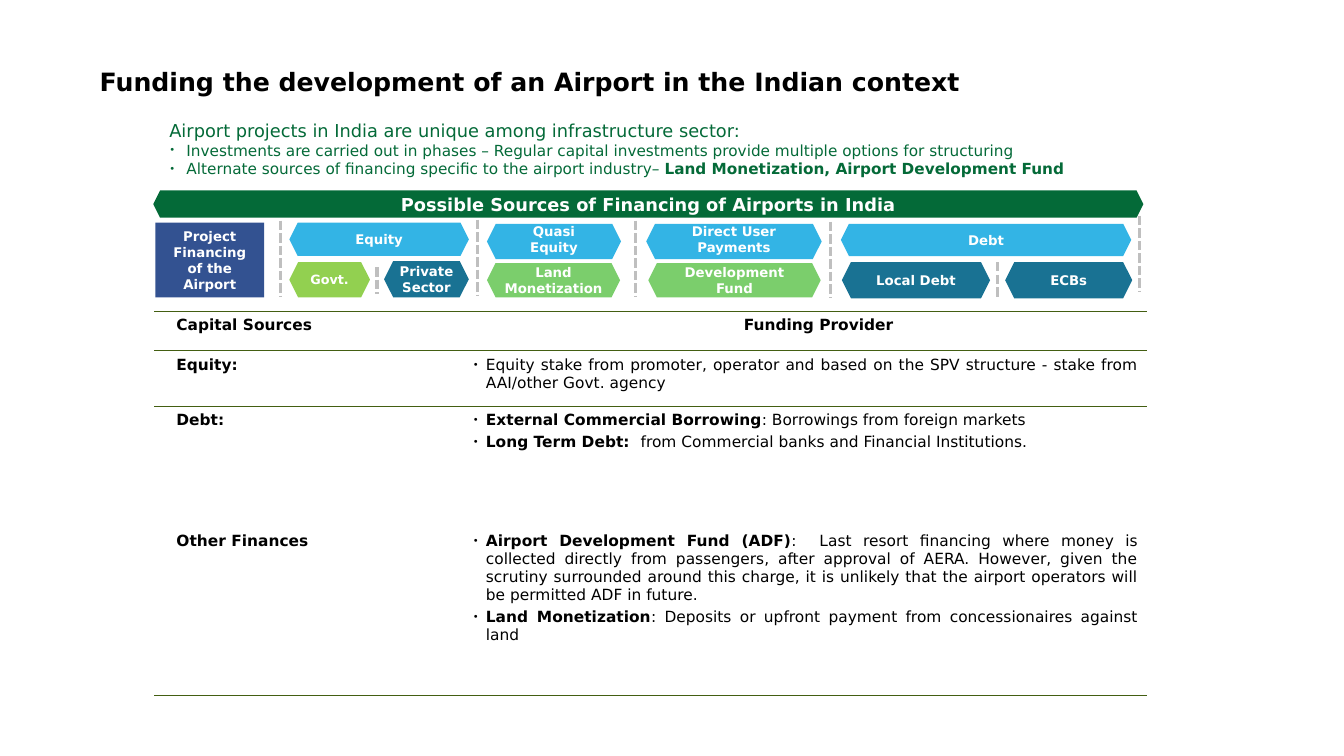
from dataclasses import dataclass

from lxml import etree
from pptx import Presentation, util as u
from pptx.dml.color import RGBColor
from pptx.enum import dml, shapes, text
from pptx.oxml import ns


@dataclass(frozen=True)
class Theme:
    """Colours, type sizes and font of the slide."""
    font: str = "DejaVu Sans"
    black: str = "000000"
    white: str = "FFFFFF"
    green: str = "046A38"
    sky: str = "33B4E5"
    navy: str = "335291"
    teal: str = "197293"
    lime: str = "92D050"
    leaf: str = "7BCE6C"
    grey: str = "BFBFBF"
    rule: str = "435E12"
    title: float = 18
    lead: float = 12.7
    bullet: float = 10.9
    cell: float = 11
    label: float = 9.5
    small: float = 9.1


@dataclass
class Line:
    """One paragraph: (wording, bold) runs with their layout."""
    runs: list
    size: float
    color: str = Theme.black
    align: text.PP_ALIGN = text.PP_ALIGN.LEFT
    margin: float = 0
    hanging: float = 0
    level: int = 0
    before: float = 0
    spacing: float = 1.0


class FundingSlide:
    """Holds the theme and current slide and draws each kind of element."""

    def __init__(self, presentation, theme):
        self.theme = theme
        self.slide = presentation.slides.add_slide(presentation.slide_layouts[6])

    def child(self, parent, tag, **attributes):
        """Append a drawing element to its parent."""
        return etree.SubElement(parent, ns.qn(tag), **attributes)

    def add_lines(self, frame, lines):
        """Fill a text frame with lines, run by run."""
        for index, line in enumerate(lines):
            paragraph = frame.add_paragraph() if index else frame.paragraphs[0]
            paragraph.alignment = line.align
            paragraph.level = line.level
            if line.spacing != 1:
                paragraph.line_spacing = line.spacing
            if index and line.before:
                paragraph.space_before = u.Pt(line.before)
            properties = paragraph._p.get_or_add_pPr()
            properties.set("marL", str(u.Inches(line.margin)))
            properties.set("indent", str(u.Inches(-line.hanging)))
            if line.hanging:
                self.child(properties, "a:buSzPct", val="65000")
                self.child(properties, "a:buFont", typeface=self.theme.font)
                self.child(properties, "a:buChar", char="•")
            for wording, bold in line.runs:
                run = paragraph.add_run()
                run.text = wording
                run.font.name = self.theme.font
                run.font.size = u.Pt(line.size)
                run.font.bold = bold
                run.font.color.rgb = RGBColor.from_string(line.color)

    def insets(self, frame, left, top, right, bottom):
        """Set the four inner margins of a frame or cell."""
        frame.margin_left, frame.margin_top = u.Inches(left), u.Inches(top)
        frame.margin_right, frame.margin_bottom = u.Inches(right), u.Inches(bottom)

    def text_box(self, box, lines, insets=(0.1, 0.05, 0.1, 0.05), grow=False):
        """Add a wrapping text box."""
        frame = self.slide.shapes.add_textbox(*map(u.Inches, box)).text_frame
        frame.word_wrap = True
        if grow:
            frame.auto_size = text.MSO_AUTO_SIZE.SHAPE_TO_FIT_TEXT
        self.insets(frame, *insets)
        self.add_lines(frame, lines)

    def block(self, label, box, fill, size=Theme.label, kind=shapes.MSO_SHAPE.HEXAGON,
              insets=(0.1, 0.05, 0.1, 0.05)):
        """Add a filled shape with a centred white label."""
        shape = self.slide.shapes.add_shape(kind, *map(u.Inches, box))
        shape.shadow.inherit = False
        shape.fill.solid()
        shape.fill.fore_color.rgb = RGBColor.from_string(fill)
        shape.line.fill.background()
        frame = shape.text_frame
        frame.word_wrap = True
        frame.vertical_anchor = text.MSO_ANCHOR.MIDDLE
        self.insets(frame, *insets)
        self.add_lines(frame, [Line([(label, True)], size, self.theme.white, text.PP_ALIGN.CENTER)])

    def divider(self, x, top, height):
        """Add a vertical dashed divider."""
        line = self.slide.shapes.add_connector(
            shapes.MSO_CONNECTOR.STRAIGHT, *map(u.Inches, (x, top, x, top + height)))
        line.line.color.rgb = RGBColor.from_string(self.theme.grey)
        line.line.width = u.Pt(2.25)
        line.line.dash_style = dml.MSO_LINE.SQUARE_DOT
        self.child(line._element.spPr, "a:effectLst")

    def border(self, cell, side):
        """Draw a thin rule on one side of a cell."""
        line = etree.Element(ns.qn(f"a:ln{side}"), w=str(u.Pt(1)))
        self.child(self.child(line, "a:solidFill"), "a:srgbClr", val=self.theme.rule)
        cell._tc.get_or_add_tcPr().insert(0, line)

    def table(self, box, widths, heights, rows):
        """Add a plain table ruled above and below its header and at its foot."""
        frame = self.slide.shapes.add_table(len(rows), len(widths), *map(u.Inches, box))
        table = frame.table
        table.first_row = table.horz_banding = False
        style = table._tbl.tblPr.find(ns.qn("a:tableStyleId"))
        style.text = "{2D5ABB26-0587-4C30-8999-92F81FD0307C}"
        for column, width in zip(table.columns, widths):
            column.width = u.Inches(width)
        for index, (height, row) in enumerate(zip(heights, rows)):
            table.rows[index].height = u.Inches(height)
            for cell, lines in zip(table.rows[index].cells, row):
                self.insets(cell, 0.09, 0.05, 0.09, 0.05)
                if index:
                    cell.fill.solid()
                    cell.fill.fore_color.rgb = RGBColor.from_string(self.theme.white)
                else:
                    cell.fill.background()
                if index in (0, len(rows) - 1):
                    self.border(cell, "B")
                if index < 2:
                    self.border(cell, "T")
                self.add_lines(cell.text_frame, lines)


def main():
    """Build the airport funding slide."""
    presentation = Presentation()
    presentation.slide_width, presentation.slide_height = u.Inches(13.33), u.Inches(7.5)
    theme = Theme()
    page = FundingSlide(presentation, theme)
    justify = text.PP_ALIGN.JUSTIFY

    def point(*runs):
        return Line(list(runs), theme.bullet, theme.green, justify, 0.4, 0.17, 1)

    def heading(label, align=text.PP_ALIGN.LEFT, margin=0.13):
        return [Line([(label, True)], theme.cell, align=align, margin=margin)]

    def provider(name, detail):
        runs = [(name, True)] if name else []
        return Line(runs + [(detail, False)], theme.cell, theme.black, justify, 0.13, 0.13, 1, 3)

    page.text_box((1.45, 1.19, 9.7, 0.65), [
        Line([("Airport projects in India are unique among infrastructure sector: ", False)],
             theme.lead, theme.green, justify, 0.23, level=1),
        point(("Investments are carried out in phases – Regular capital investments "
               "provide multiple options for structuring", False)),
        point(("Alternate sources of financing specific to the airport industry– ", False),
              ("Land Monetization, Airport Development Fund", True)),
    ], insets=(0, 0, 0, 0))
    page.text_box((0.89, 0.59, 9.83, 0.42), [
        Line([("Funding the development of an Airport in the Indian context", True)],
             theme.title, spacing=1.06)], grow=True)

    page.block("Possible Sources of Financing of Airports in India",
               (1.52, 1.89, 9.82, 0.27), theme.green, theme.lead)
    page.block("Project Financing of the Airport", (1.54, 2.21, 1.08, 0.74), theme.navy,
               kind=shapes.MSO_SHAPE.RECTANGLE)
    raised, narrow = (0.1, 0, 0.1, 0.05), (0, 0.05, 0, 0.05)
    page.block("Equity", (2.87, 2.21, 1.78, 0.33), theme.sky)
    page.block("Quasi Equity", (4.83, 2.22, 1.33, 0.35), theme.sky, insets=raised)
    page.block("Direct User Payments", (6.41, 2.22, 1.74, 0.35), theme.sky, insets=raised)
    page.block("Debt", (8.34, 2.22, 2.88, 0.32), theme.sky)
    page.block("Govt.", (2.87, 2.6, 0.8, 0.35), theme.lime, theme.small)
    page.block("Private Sector", (3.81, 2.59, 0.84, 0.36), theme.teal, insets=narrow)
    page.block("Land Monetization", (4.83, 2.61, 1.32, 0.34), theme.leaf, insets=narrow)
    page.block("Development Fund", (6.43, 2.61, 1.71, 0.34), theme.leaf)
    page.block("Local Debt", (8.35, 2.6, 1.47, 0.36), theme.teal)
    page.block("ECBs", (9.97, 2.6, 1.26, 0.36), theme.teal)

    for x, top in ((2.78, 2.19), (4.74, 2.18), (6.3, 2.19), (8.24, 2.2), (11.3, 2.14)):
        page.divider(x, top, 0.76)
    page.divider(3.74, 2.65, 0.27)
    page.divider(9.89, 2.6, 0.36)

    page.table((1.53, 3.09, 9.85, 3.81), (3.07, 6.78), (0.39, 0.55, 1.2, 1.67), [
        (heading("Capital Sources"),
         heading("Funding Provider", text.PP_ALIGN.CENTER, 0.26)),
        (heading("Equity:"),
         [provider("", "Equity stake from promoter, operator and based on the SPV structure "
                       "- stake from AAI/other Govt. agency")]),
        (heading("Debt:"),
         [provider("External Commercial Borrowing", ": Borrowings from foreign markets"),
          provider("Long Term Debt:  ", "from Commercial banks and Financial Institutions.")]),
        (heading("Other Finances"),
         [provider("Airport Development Fund (ADF)",
                   ":  Last resort financing where money is collected directly from passengers, "
                   "after approval of AERA. However, given the scrutiny surrounded around this "
                   "charge, it is unlikely that the airport operators will be permitted ADF in "
                   "future."),
          provider("Land Monetization",
                   ": Deposits or upfront payment from concessionaires against land")]),
    ])
    presentation.save("out.pptx")


if __name__ == "__main__":
    main()
